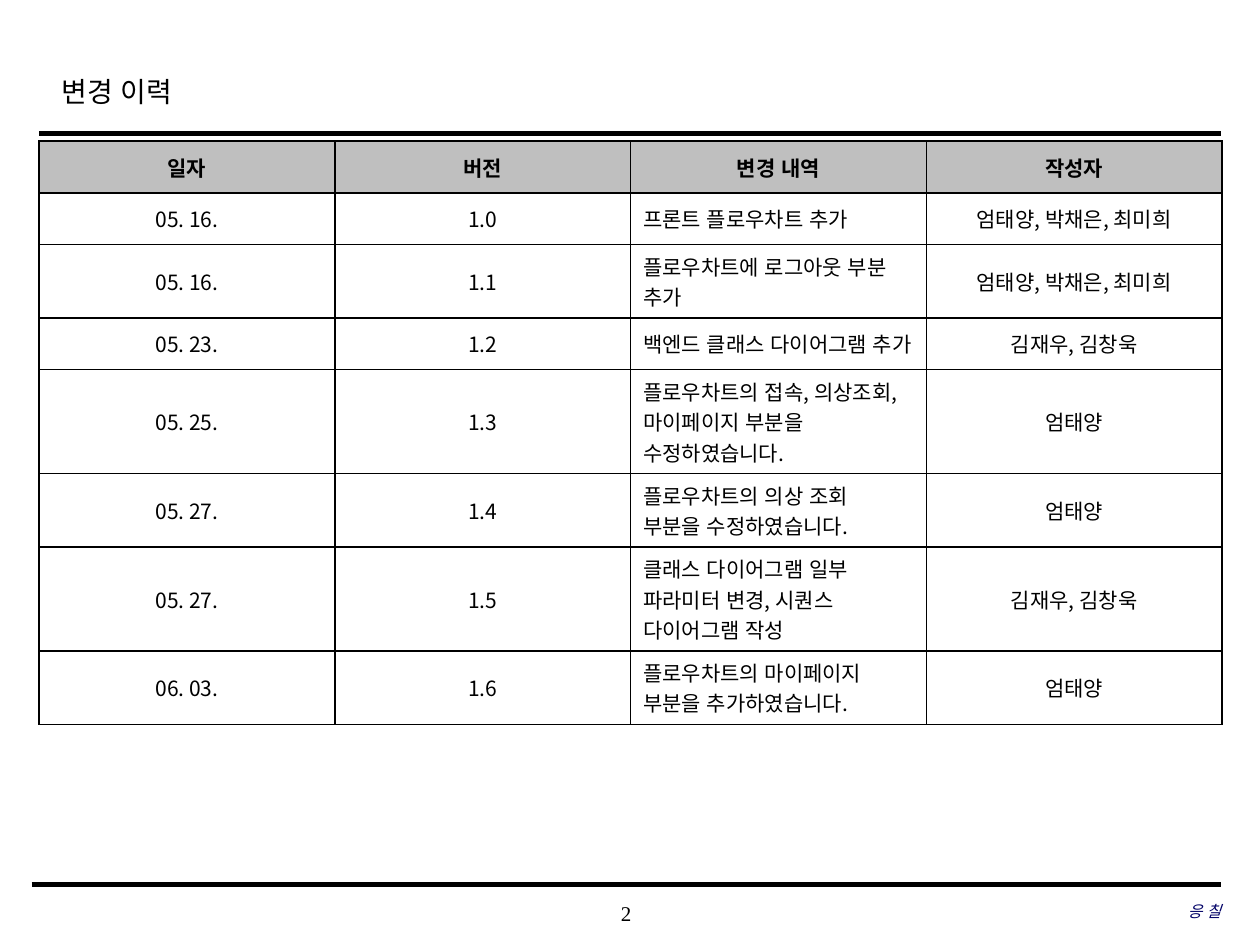
from dataclasses import dataclass
from typing import NamedTuple

from lxml.etree import SubElement
from pptx import Presentation
from pptx.dml.color import RGBColor
from pptx.enum.lang import MSO_LANGUAGE_ID as Lang
from pptx.enum.shapes import MSO_CONNECTOR as Connector
from pptx.enum.text import MSO_ANCHOR as Anchor, MSO_AUTO_SIZE as AutoSize, PP_ALIGN as Align
from pptx.oxml import parse_xml
from pptx.oxml.ns import nsdecls, qn
from pptx.util import Inches, Pt


@dataclass(frozen=True)
class Theme:
    ink: str = "000000"
    accent: str = "000066"
    header_fill: str = "BFBFBF"
    body_fill: str = "FFFFFF"
    serif: str = "Times New Roman"
    korean: str = "Noto Sans CJK KR"
    title_size: float = 16
    body_size: float = 12
    body_line: float = 17.4
    footer_size: float = 9
    border: float = 1


class Change(NamedTuple):
    date: str
    version: str
    description: str
    authors: str


class Rule(NamedTuple):
    left: float
    right: float
    y: float
    weight: float


class Footer(NamedTuple):
    text: str
    left: float
    top: float
    width: float
    align: Align
    size: float
    color: str
    italic: bool


THEME = Theme()
TABLE_LEFT, TABLE_TOP, TABLE_WIDTH = 0.31, 1.12, 9.39
MIN_ROW_HEIGHT, CELL_PADDING = 0.41, 0.1
FOOTER_HEIGHT = 0.33

RULES = [Rule(0.31, 9.69, 1.06, 2.5), Rule(0.25, 9.69, 7.02, 3)]
FOOTERS = [
    Footer("2", 3.93, 7.08, 2.08, Align.CENTER, THEME.body_size, THEME.ink, False),
    Footer("응 칠", 6.63, 7.07, 3.06, Align.RIGHT, THEME.footer_size, THEME.accent, True),
]
HEADINGS = Change("일자", "버전", "변경 내역", "작성자")
CHANGES = [
    Change("05. 16.", "1.0", "프론트 플로우차트 추가", "엄태양, 박채은, 최미희"),
    Change("05. 16.", "1.1", "플로우차트에 로그아웃 부분 추가", "엄태양, 박채은, 최미희"),
    Change("05. 23.", "1.2", "백엔드 클래스 다이어그램 추가", "김재우, 김창욱"),
    Change("05. 25.", "1.3", "플로우차트의 접속, 의상조회, 마이페이지 부분을 수정하였습니다.", "엄태양"),
    Change("05. 27.", "1.4", "플로우차트의 의상 조회\v부분을 수정하였습니다.", "엄태양"),
    Change("05. 27.", "1.5", "클래스 다이어그램 일부 파라미터 변경, 시퀀스 다이어그램 작성", "김재우, 김창욱"),
    Change("06. 03.", "1.6", "플로우차트의 마이페이지 부분을 추가하였습니다.", "엄태양"),
]
# Lines of description in each table row, headings first
LINE_COUNTS = [1, 1, 2, 1, 3, 2, 3, 2]


def write(frame, text: str, align: Align, size: float, face: str,
          color: str = THEME.ink, bold: bool = False, italic: bool = False) -> None:
    frame.text = text
    paragraph = frame.paragraphs[0]
    paragraph.alignment = align
    for run in paragraph.runs:
        font = run.font
        font.size, font.name, font.bold, font.italic = Pt(size), face, bold, italic
        font.color.rgb = RGBColor.from_string(color)
        font.language_id = Lang.KOREAN
        # Hangul takes its face from the East Asian slot
        SubElement(run._r.get_or_add_rPr(), qn("a:ea")).set("typeface", THEME.korean)


def add_title(slide, text: str) -> None:
    title = slide.shapes.title
    title.left, title.top = Inches(0.39), Inches(0.49)
    title.width, title.height = Inches(7.55), Inches(0.5)
    frame = title.text_frame
    frame.auto_size, frame.vertical_anchor = AutoSize.NONE, Anchor.TOP
    write(frame, text, Align.LEFT, THEME.title_size, THEME.serif)
    frame.paragraphs[0].line_spacing = 1.2


def add_rule(slide, rule: Rule) -> None:
    y = Inches(rule.y)
    line = slide.shapes.add_connector(
        Connector.STRAIGHT, Inches(rule.left), y, Inches(rule.right), y)
    line.line.color.rgb = RGBColor.from_string(THEME.ink)
    line.line.width = Pt(rule.weight)
    SubElement(line._element.spPr, qn("a:effectLst"))


def add_footer(slide, footer: Footer) -> None:
    box = slide.shapes.add_textbox(Inches(footer.left), Inches(footer.top),
                                   Inches(footer.width), Inches(FOOTER_HEIGHT))
    frame = box.text_frame
    frame.word_wrap, frame.vertical_anchor = True, Anchor.MIDDLE
    frame.margin_left = frame.margin_right = frame.margin_top = frame.margin_bottom = 0
    write(frame, footer.text, footer.align, footer.size, THEME.serif,
          footer.color, italic=footer.italic)


def add_borders(cell) -> None:
    properties = cell._tc.get_or_add_tcPr()
    for position, side in enumerate(("lnL", "lnR", "lnT", "lnB")):
        properties.insert(position, parse_xml(
            f'<a:{side} {nsdecls("a")} w="{Pt(THEME.border)}"><a:solidFill>'
            f'<a:srgbClr val="{THEME.ink}"/></a:solidFill></a:{side}>'))


def row_height(lines: int) -> int:
    return max(Inches(MIN_ROW_HEIGHT), Inches(CELL_PADDING) + lines * Pt(THEME.body_line))


def add_history(slide, headings: Change, changes: list[Change]) -> None:
    rows = [headings, *changes]
    heights = [row_height(lines) for lines in LINE_COUNTS]
    table = slide.shapes.add_table(
        len(rows), len(headings), Inches(TABLE_LEFT), Inches(TABLE_TOP),
        Inches(TABLE_WIDTH), sum(heights)).table
    table.horz_banding = False
    for row_index, (row, height) in enumerate(zip(rows, heights)):
        table.rows[row_index].height = height
        is_header = row_index == 0
        for column, field in enumerate(Change._fields):
            cell = table.cell(row_index, column)
            cell.vertical_anchor = Anchor.MIDDLE
            cell.fill.solid()
            cell.fill.fore_color.rgb = RGBColor.from_string(
                THEME.header_fill if is_header else THEME.body_fill)
            add_borders(cell)
            is_prose = field == "description" and not is_header
            write(cell.text_frame, row[column], Align.LEFT if is_prose else Align.CENTER,
                  THEME.body_size, THEME.korean, bold=is_header)


def main() -> None:
    deck = Presentation()
    deck.slide_width, deck.slide_height = Inches(10), Inches(7.5)
    slide = deck.slides.add_slide(deck.slide_layouts[5])

    # Frame of the page
    for rule in RULES:
        add_rule(slide, rule)
    for footer in FOOTERS:
        add_footer(slide, footer)

    # Title and change history
    add_title(slide, "변경 이력")
    add_history(slide, HEADINGS, CHANGES)

    deck.save("out.pptx")


if __name__ == "__main__":
    main()
